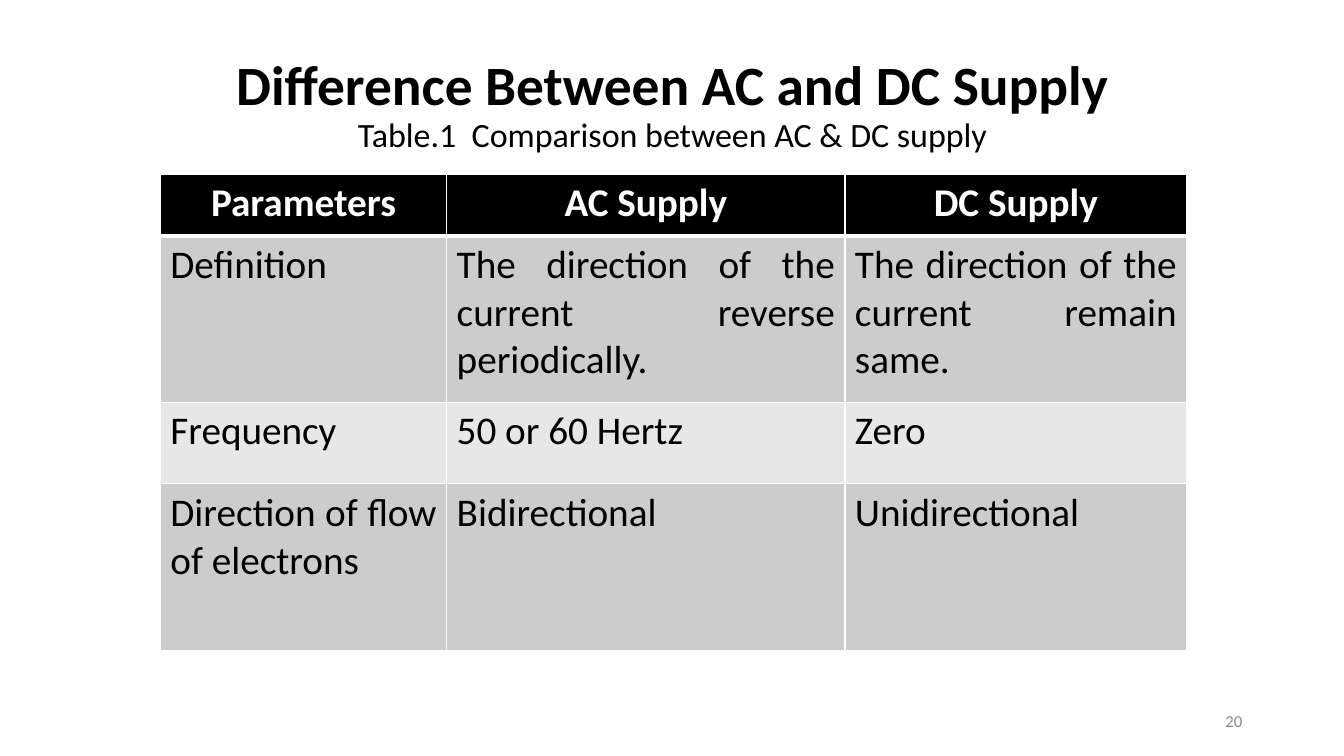
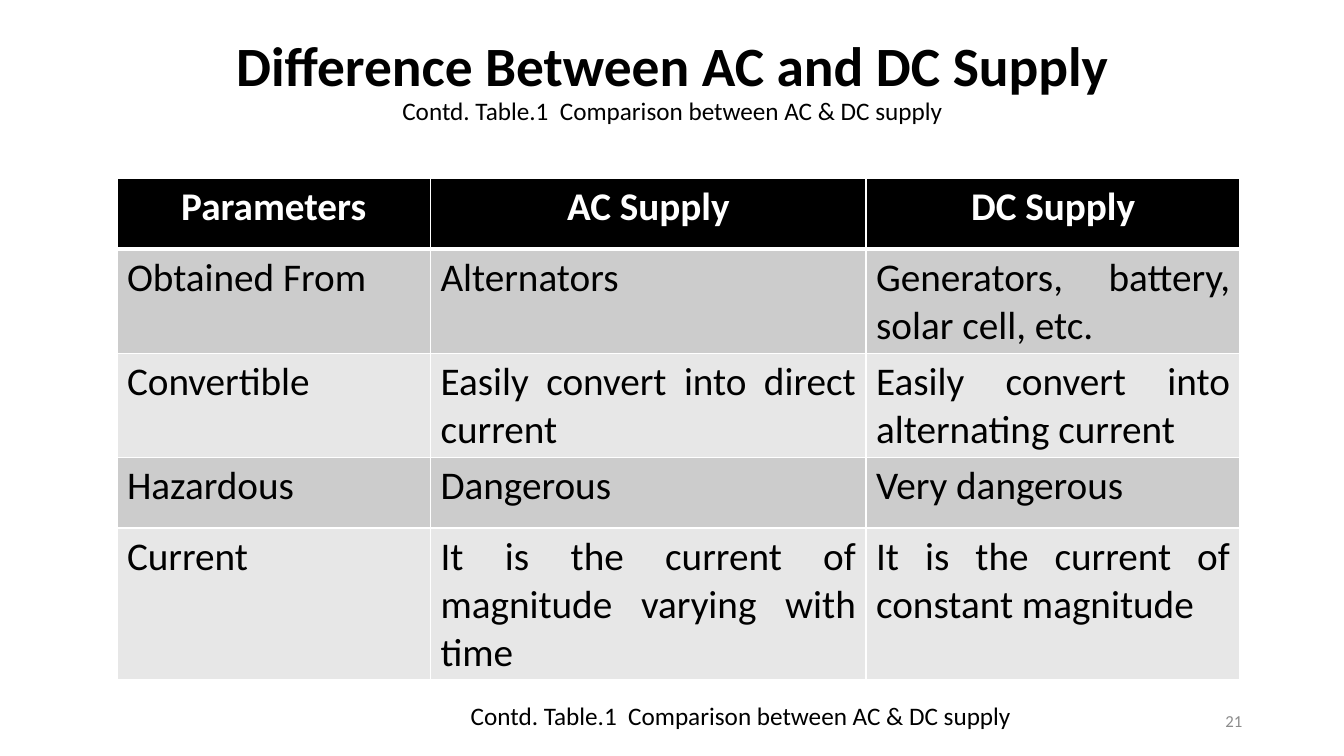
from dataclasses import dataclass

from lxml.etree import SubElement
from pptx import Presentation
from pptx.dml.color import RGBColor as Rgb
from pptx.enum.text import MSO_ANCHOR as Anchor, PP_ALIGN as Align
from pptx.oxml.ns import qn
from pptx.util import Pt

PX = 9144


@dataclass(frozen=True)
class Theme:
    font: str = "Calibri"
    ink: str = "000000"
    paper: str = "FFFFFF"
    muted: str = "8C8C8C"
    bands: tuple = ("CCCCCC", "E7E7E7")
    title: float = 39.6
    body: int = 28
    note: int = 18
    foot: int = 12
    thin: int = 1
    thick: int = 3


def write(para, text, size, color, bold=False, align=Align.LEFT, lead=None):
    para.alignment = align
    para.line_spacing = lead
    run = para.add_run()
    run.text = text
    font = run.font
    font.name, font.size, font.bold = Theme.font, Pt(size), bold
    font.color.rgb = Rgb.from_string(color)


class Deck:
    def __init__(self, theme):
        self.theme = theme
        self.show = Presentation()
        self.show.slide_width, self.show.slide_height = 1333 * PX, 750 * PX
        self.slide = None

    def page(self, number):
        self.slide = self.show.slides.add_slide(self.show.slide_layouts[6])
        frame = self.frame(942, 695, 300, 40)
        write(frame.paragraphs[0], str(number), size=self.theme.foot,
              color=self.theme.muted, align=Align.RIGHT)

    def frame(self, left, top, width, height, wrap=True):
        box = self.slide.shapes.add_textbox(left * PX, top * PX, width * PX, height * PX)
        frame = box.text_frame
        frame.word_wrap = wrap
        frame.vertical_anchor = Anchor.MIDDLE
        return frame

    def title(self, top, height, head, sub, size):
        look = self.theme
        frame = self.frame(92, top, 1150, height)
        write(frame.paragraphs[0], head, size=look.title, color=look.ink,
              bold=True, align=Align.CENTER, lead=0.9)
        write(frame.add_paragraph(), sub, size=size, color=look.ink,
              align=Align.CENTER, lead=0.9)

    def note(self, left, top, width, height, text):
        frame = self.frame(left, top, width, height, wrap=False)
        write(frame.paragraphs[0], text, size=self.theme.note, color=self.theme.ink)

    def border(self, cell, row):
        look = self.theme
        props = cell._tc.get_or_add_tcPr()
        heavy = {0: "lnB", 1: "lnT"}.get(row)
        for side in ("lnL", "lnR", "lnT", "lnB"):
            wide = look.thick if side == heavy else look.thin
            line = SubElement(props, qn("a:" + side), w=str(Pt(wide)))
            fill = SubElement(line, qn("a:solidFill"))
            SubElement(fill, qn("a:srgbClr"), val=look.paper)

    def table(self, left, top, cols, rows, data):
        look = self.theme
        grid = self.slide.shapes.add_table(
            len(rows), len(cols), left * PX, top * PX, sum(cols) * PX, sum(rows) * PX).table
        for col, width in zip(grid.columns, cols):
            col.width = width * PX
        for index, (row, height, texts) in enumerate(zip(grid.rows, rows, data)):
            row.height = height * PX
            head = index == 0
            shade = look.ink if head else look.bands[(index - 1) % 2]
            for cell, text in zip(row.cells, texts):
                self.border(cell, index)
                cell.fill.solid()
                cell.fill.fore_color.rgb = Rgb.from_string(shade)
                write(cell.text_frame.paragraphs[0], text, size=look.body, bold=head,
                      color=look.paper if head else look.ink,
                      align=Align.CENTER if head else Align.JUSTIFY)


HEAD = "Difference Between AC and DC Supply"
LABEL = "Table.1  Comparison between AC & DC supply"
MORE = "Contd. " + LABEL
NAMES = ("Parameters", "AC Supply", "DC Supply")

BASICS = (
    NAMES,
    ("Definition", "The direction of the current reverse periodically.",
     "The direction of the current remain same."),
    ("Frequency", "50 or 60 Hertz", "Zero"),
    ("Direction of flow of electrons", "Bidirectional", "Unidirectional"),
)
USES = (
    NAMES,
    ("Obtained From", "Alternators", "Generators, battery, solar cell, etc."),
    ("Convertible", "Easily convert into direct current",
     "Easily convert into alternating current"),
    ("Hazardous", "Dangerous", "Very dangerous"),
    ("Current", "It is the current of magnitude varying with time",
     "It is the current of constant magnitude"),
)


def main():
    deck = Deck(Theme())

    deck.page(20)
    deck.title(26, 159, HEAD, LABEL, size=24.3)
    deck.table(159, 173, (284, 395, 339), (61, 165, 81, 165), BASICS)

    deck.page(21)
    deck.title(9, 145, HEAD, MORE, size=deck.theme.note)
    deck.table(116, 177, (311, 432, 371), (70, 98, 98, 70, 142), USES)
    deck.note(457, 690, 560, 40, MORE)

    deck.show.save("out.pptx")


if __name__ == "__main__":
    main()
